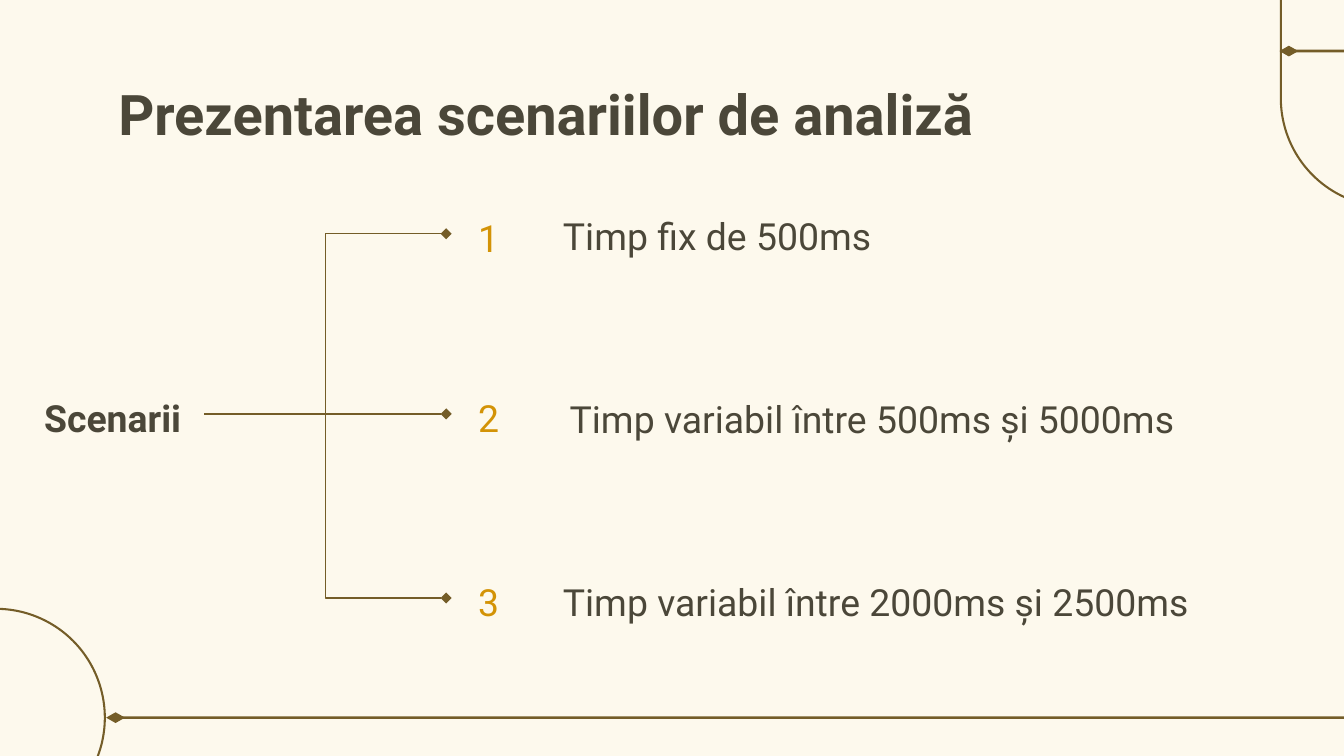
import pptx
import pptx.dml.color
import pptx.enum.shapes
import pptx.enum.text
import pptx.oxml
import pptx.oxml.ns
import pptx.util
from pptx.util import Inches

COLORS = {"background": "FDF9ED", "line": "745D28", "text": "4B4739", "number": "D39306"}
FONT = "Roboto"
SHAPES = pptx.enum.shapes.MSO_SHAPE
ALIGN = pptx.enum.text.PP_ALIGN
ANCHOR = pptx.enum.text.MSO_ANCHOR


def rgb(name):
    return pptx.dml.color.RGBColor.from_string(COLORS[name])


def write(shape, text, size=20, color="text", bold=False, align=ALIGN.LEFT,
          anchor=ANCHOR.MIDDLE, spacing=1.15):
    frame = shape.text_frame
    frame.text = text
    frame.word_wrap = True
    frame.auto_size = pptx.enum.text.MSO_AUTO_SIZE.NONE
    frame.vertical_anchor = anchor
    frame.margin_left = frame.margin_right = Inches(0.1)
    frame.margin_top = frame.margin_bottom = Inches(0.1)
    paragraph = frame.paragraphs[0]
    paragraph.alignment = align
    paragraph.line_spacing = spacing
    font = paragraph.runs[0].font
    font.name, font.size, font.bold = FONT, pptx.util.Pt(size), bold
    font.color.rgb = rgb(color)


def add_label(slide, left, middle, width, height, text, **style):
    """Text box centred vertically on the given height of the slide."""
    box = slide.shapes.add_textbox(Inches(left), Inches(middle - height / 2),
                                   Inches(width), Inches(height))
    write(box, text, **style)
    return box


def add_solid(slide, kind, left, top, width, height):
    shape = slide.shapes.add_shape(kind, Inches(left), Inches(top), Inches(width), Inches(height))
    shape.shadow.inherit = False
    shape.fill.solid()
    shape.fill.fore_color.rgb = rgb("line")
    shape.line.fill.background()


def add_capsule(slide, left, top, width, height):
    shape = slide.shapes.add_shape(SHAPES.ROUNDED_RECTANGLE, Inches(left), Inches(top),
                                   Inches(width), Inches(height))
    shape.adjustments[0] = 0.5
    shape.shadow.inherit = False
    shape.fill.background()
    shape.line.color.rgb = rgb("line")
    shape.line.width = pptx.util.Pt(1.1)


def add_pointer(slide, left, middle, length):
    """Horizontal bar with a flat diamond at its left end."""
    add_solid(slide, SHAPES.RECTANGLE, left + 0.05, middle - 0.01, length, 0.02)
    add_solid(slide, SHAPES.DIAMOND, left, middle - 0.04, 0.14, 0.08)


def add_branch(slide, root, target):
    branch = slide.shapes.add_connector(pptx.enum.shapes.MSO_CONNECTOR.ELBOW, 0, 0, 0, 0)
    branch.begin_connect(root, 3)
    branch.end_connect(target, 1)
    branch.line.color.rgb = rgb("line")
    branch.line.width = pptx.util.Pt(0.75)
    line = branch.line._get_or_add_ln()
    tail = pptx.oxml.parse_xml(
        '<a:tailEnd %s type="diamond" w="med" len="med"/>' % pptx.oxml.ns.nsdecls("a"))
    line.append(tail)
    branch._element.spPr.append(
        pptx.oxml.parse_xml("<a:effectLst %s/>" % pptx.oxml.ns.nsdecls("a")))


def add_decoration(slide):
    # Bottom left and top right capsules run past the slide edges
    add_capsule(slide, -4.64, 4.53, 5.42, 1.62)
    add_capsule(slide, 9.53, -3.88, 1.62, 5.42)
    add_pointer(slide, 9.52, 0.38, 1.84)
    add_pointer(slide, 0.79, 5.34, 9.71)


def add_title(slide, left, top, width, height):
    title = slide.shapes.title
    title.left, title.top = Inches(left), Inches(top)
    title.width, title.height = Inches(width), Inches(height)
    write(title, "Prezentarea scenariilor de analiză", size=30, bold=True,
          anchor=ANCHOR.TOP, spacing=1.0)


def add_scenarios(slide, left, middle):
    """Root label with one branch, number and description per scenario."""
    root = add_label(slide, left, middle, 1.29, 0.52, "Scenarii", bold=True)
    # Number offset from the root, then text offset, left, width and wording
    scenarios = [
        (-1.34, -1.35, 3.86, 2.81, "Timp fix de 500ms"),
        (0, 0.01, 3.91, 5.26, "Timp variabil între 500ms și 5000ms"),
        (1.37, 1.37, 3.86, 5.3, "Timp variabil între 2000ms și 2500ms"),
    ]
    for index, (offset, text_offset, text_left, width, text) in enumerate(scenarios, start=1):
        number = add_label(slide, left + 3.09, middle + offset, 0.63, 0.47, str(index),
                           color="number", align=ALIGN.CENTER)
        add_label(slide, left + text_left, middle + text_offset, width, 0.77, text)
        add_branch(slide, root, number)


def main():
    presentation = pptx.Presentation()
    presentation.slide_width = Inches(10)
    presentation.slide_height = Inches(10 * 9 / 16)
    slide = presentation.slides.add_slide(presentation.slide_layouts[5])
    slide.background.fill.solid()
    slide.background.fill.fore_color.rgb = rgb("background")

    add_decoration(slide)
    add_title(slide, 0.78, 0.49, 8.44, 0.63)
    add_scenarios(slide, 0.23, 3.08)
    presentation.save("out.pptx")


if __name__ == "__main__":
    main()
